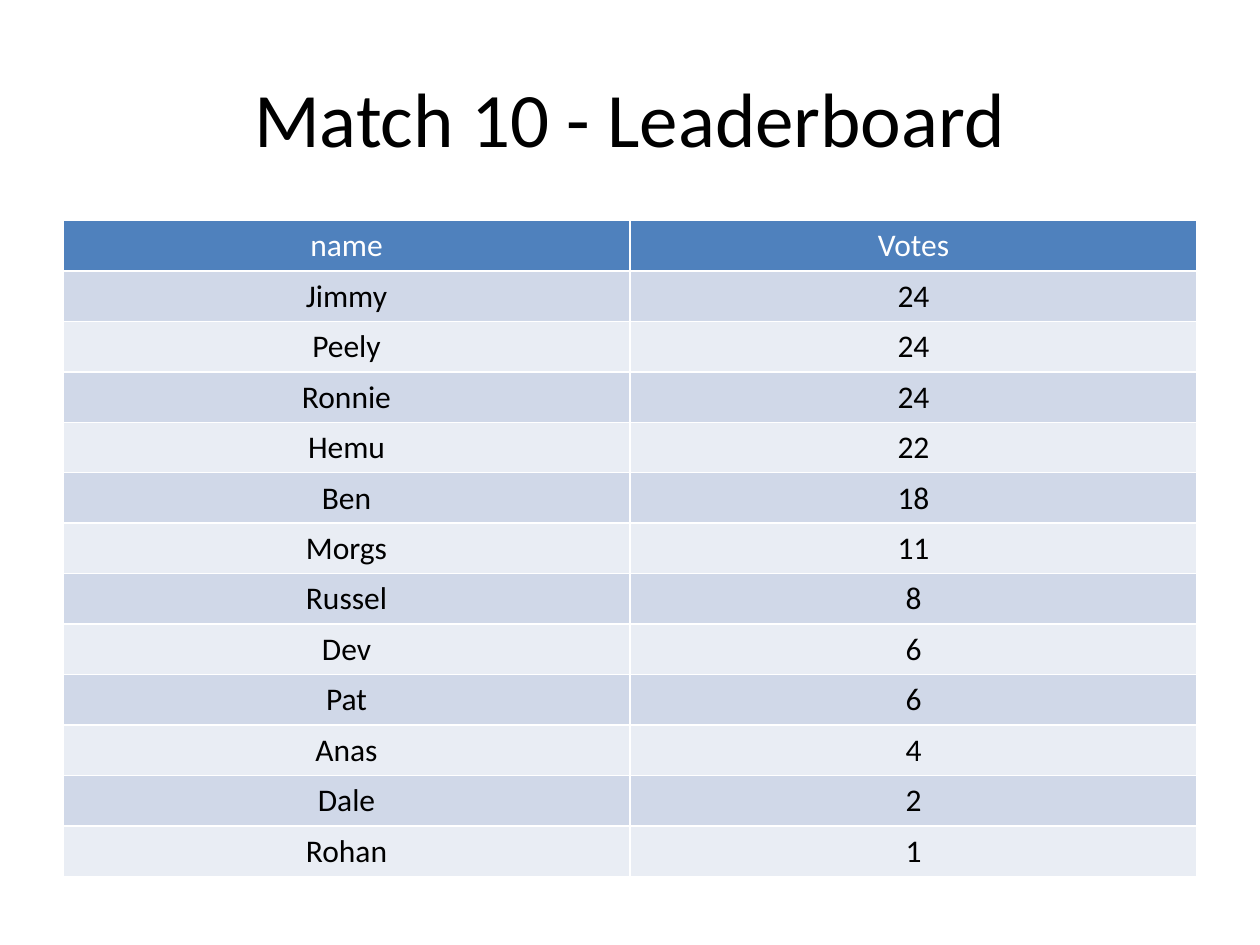
import pptx
import pptx.util
import pptx.dml.color
import pptx.enum.text

Inches, Pt = pptx.util.Inches, pptx.util.Pt

TITLE = "Match 10 - Leaderboard"
HEADINGS = ("name", "Votes")
STANDINGS = [
    ("Jimmy", 24),
    ("Peely", 24),
    ("Ronnie", 24),
    ("Hemu", 22),
    ("Ben", 18),
    ("Morgs", 11),
    ("Russel", 8),
    ("Dev", 6),
    ("Pat", 6),
    ("Anas", 4),
    ("Dale", 2),
    ("Rohan", 1),
]
COLOURS = {
    "text": "000000",
    "heading_text": "FFFFFF",
    "heading": "4F81BD",
    "odd": "D0D8E8",
    "even": "E9EDF4",
}
FONT = "Calibri"
LEFT, WIDTH, ROW_HEIGHT = 0.5, 9, 0.38


def colour(name):
    return pptx.dml.color.RGBColor.from_string(COLOURS[name])


def write(frame, text, size, text_colour):
    frame.text = text
    paragraph = frame.paragraphs[0]
    paragraph.alignment = pptx.enum.text.PP_ALIGN.CENTER
    font = paragraph.runs[0].font
    font.name = FONT
    font.size = Pt(size)
    font.bold = False
    font.color.rgb = colour(text_colour)


deck = pptx.Presentation()
deck.slide_width, deck.slide_height = Inches(10), Inches(7.5)
slide = deck.slides.add_slide(deck.slide_layouts[6])

title = slide.shapes.add_textbox(Inches(LEFT), Inches(0.3), Inches(WIDTH), Inches(1.25)).text_frame
title.word_wrap = True
title.vertical_anchor = pptx.enum.text.MSO_ANCHOR.MIDDLE
write(title, TITLE, 44, "text")

rows = [HEADINGS] + STANDINGS
leaderboard = slide.shapes.add_table(
    len(rows), len(HEADINGS), Inches(LEFT), Inches(1.75),
    Inches(WIDTH), Inches(ROW_HEIGHT * len(rows)),
).table
for position, entry in enumerate(rows):
    leaderboard.rows[position].height = Inches(ROW_HEIGHT)
    if position == 0:
        band, text_colour = "heading", "heading_text"
    else:
        band, text_colour = ("odd" if position % 2 else "even"), "text"
    for column, value in enumerate(entry):
        cell = leaderboard.cell(position, column)
        cell.fill.solid()
        cell.fill.fore_color.rgb = colour(band)
        write(cell.text_frame, str(value), 18, text_colour)

deck.save("out.pptx")
